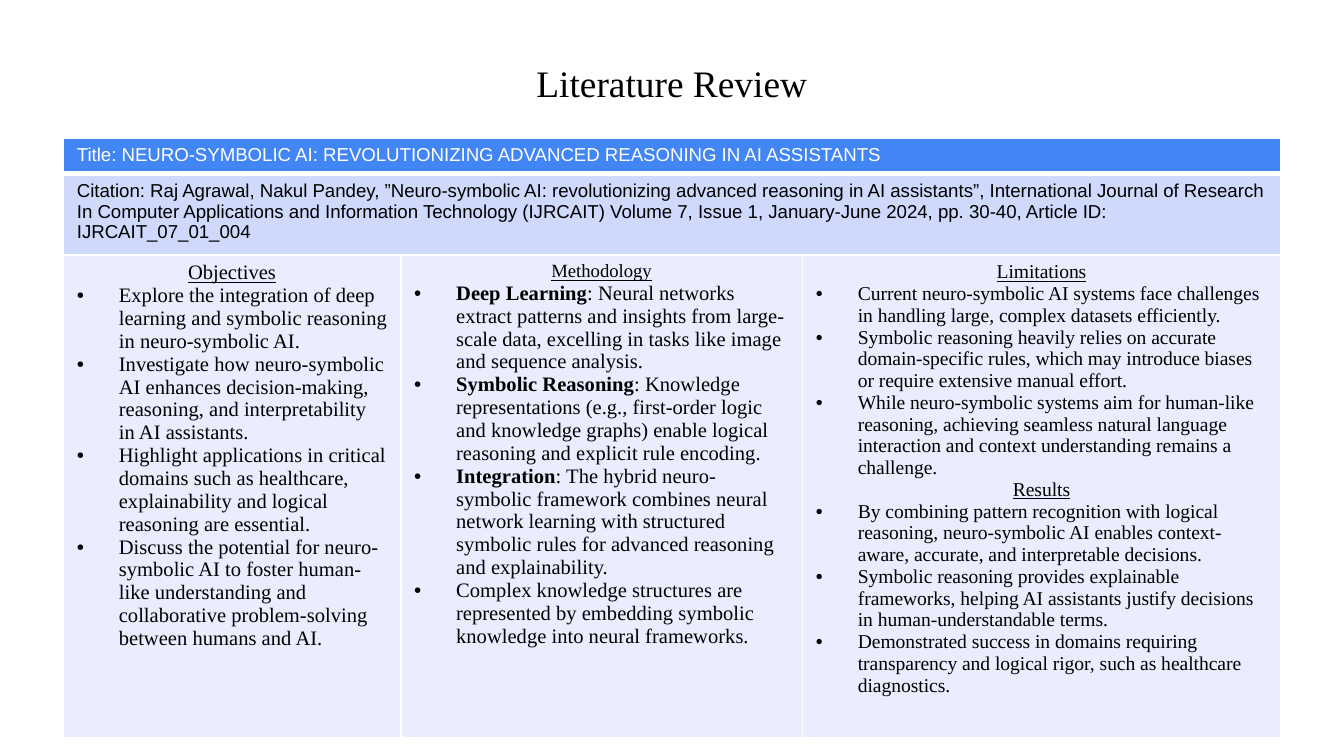
from dataclasses import dataclass

from lxml import etree
from pptx import Presentation
from pptx import util as u
from pptx.dml.color import RGBColor
from pptx.enum import text
from pptx.oxml import ns

Pt = u.Pt


@dataclass
class Theme:
    ink: str = "000000"
    white: str = "FFFFFF"
    head: str = "4285F4"
    cite: str = "CFD9FB"
    body: str = "E9EDFD"
    sans: str = "Arial"
    serif: str = "Times New Roman"
    title: float = 20
    small: float = 10
    mid: float = 10.5
    large: float = 11
    indent: float = 22.5


TITLE = "Title: NEURO-SYMBOLIC AI: REVOLUTIONIZING ADVANCED REASONING IN AI ASSISTANTS"
CITE = (
    "Citation: Raj Agrawal, Nakul Pandey, ”Neuro-symbolic AI: revolutionizing advanced "
    "reasoning in AI assistants”, International Journal of Research In Computer "
    "Applications and Information Technology (IJRCAIT) Volume 7, Issue 1, January-June "
    "2024, pp. 30-40, Article ID: IJRCAIT_07_01_004"
)
# Each bullet is a bold lead and the plain words after it.
GOALS = [
    ("", "Explore the integration of deep learning and symbolic reasoning in neuro-symbolic AI."),
    ("", "Investigate how neuro-symbolic AI enhances decision-making, reasoning, and "
         "interpretability in AI assistants."),
    ("", "Highlight applications in critical domains such as healthcare, explainability "
         "and logical reasoning are essential."),
    ("", "Discuss the potential for neuro-symbolic AI to foster human-like understanding "
         "and collaborative problem-solving between humans and AI."),
]
METHODS = [
    ("Deep Learning", ": Neural networks extract patterns and insights from large-scale "
                      "data, excelling in tasks like image and sequence analysis."),
    ("Symbolic Reasoning", ": Knowledge representations (e.g., first-order logic and "
                           "knowledge graphs) enable logical reasoning and explicit rule encoding."),
    ("Integration", ": The hybrid neuro-symbolic framework combines neural network learning "
                    "with structured symbolic rules for advanced reasoning and explainability."),
    ("", "Complex knowledge structures are represented by embedding symbolic knowledge "
         "into neural frameworks."),
]
LIMITS = [
    ("", "Current neuro-symbolic AI systems face challenges in handling large, complex "
         "datasets efficiently."),
    ("", "Symbolic reasoning heavily relies on accurate domain-specific rules, which may "
         "introduce biases or require extensive manual effort."),
    ("", "While neuro-symbolic systems aim for human-like reasoning, achieving seamless "
         "natural language interaction and context understanding remains a challenge."),
]
RESULTS = [
    ("", "By combining pattern recognition with logical reasoning, neuro-symbolic AI enables "
         "context-aware, accurate, and interpretable decisions."),
    ("", "Symbolic reasoning provides explainable frameworks, helping AI assistants justify "
         "decisions in human-understandable terms."),
    ("", "Demonstrated success in domains requiring transparency and logical rigor, such "
         "as healthcare diagnostics."),
]


class Deck:
    def __init__(self, theme, slide):
        self.theme, self.slide = theme, slide

    def run(self, para, words, size, face, color=None, **style):
        run = para.add_run()
        run.text = words
        font = {"size": Pt(size), "name": face, "bold": False, **style}
        for key, value in font.items():
            setattr(run.font, key, value)
        run.font.color.rgb = RGBColor.from_string(color or self.theme.ink)

    def title(self, words, box):
        frame = self.slide.shapes.add_textbox(*map(Pt, box)).text_frame
        frame.word_wrap = True
        para = frame.paragraphs[0]
        para.alignment = text.PP_ALIGN.CENTER
        self.run(para, words, self.theme.title, self.theme.serif)

    def table(self, left, top, cols, rows):
        size = map(Pt, (left, top, sum(cols), sum(rows)))
        grid = self.slide.shapes.add_table(len(rows), len(cols), *size).table
        for col, width in zip(grid.columns, cols):
            col.width = Pt(width)
        for row, height in zip(grid.rows, rows):
            row.height = Pt(height)
        return grid

    def cell(self, cell, fill, base=1):
        """Give a cell its white borders and its fill; base is the lower line's width."""
        props = cell._tc.get_or_add_tcPr()
        for side, width in (("L", 1), ("R", 1), ("T", 1), ("B", base)):
            line = etree.SubElement(props, ns.qn(f"a:ln{side}"), w=str(Pt(width)))
            solid = etree.SubElement(line, ns.qn("a:solidFill"))
            etree.SubElement(solid, ns.qn("a:srgbClr"), val=self.theme.white)
        cell.fill.solid()
        cell.fill.fore_color.rgb = RGBColor.from_string(fill)

    def band(self, grid, row, words, fill, color, base=1):
        """Fill a whole row with one merged cell."""
        last = len(grid.columns) - 1
        grid.cell(row, 0).merge(grid.cell(row, last))
        for col in range(last + 1):
            self.cell(grid.cell(row, col), fill, base)
        para = grid.cell(row, 0).text_frame.paragraphs[0]
        self.run(para, words, self.theme.small, self.theme.sans, color)

    def bullet(self, para):
        props = para._p.get_or_add_pPr()
        step = Pt(self.theme.indent)
        for key, value in {"marL": step, "indent": -step}.items():
            props.set(key, str(value))
        color = etree.SubElement(props, ns.qn("a:buClr"))
        etree.SubElement(color, ns.qn("a:srgbClr"), val=self.theme.ink)
        etree.SubElement(props, ns.qn("a:buFont"), typeface=self.theme.sans)
        etree.SubElement(props, ns.qn("a:buChar"), char="•")

    def lists(self, cell, parts, top, size):
        """Write headed bullet lists; top is the size of the headings."""
        frame, face = cell.text_frame, self.theme.serif
        for spot, (head, items) in enumerate(parts):
            para = frame.add_paragraph() if spot else frame.paragraphs[0]
            para.alignment = text.PP_ALIGN.CENTER
            self.run(para, head, top, face, underline=True)
            for lead, rest in items:
                para = frame.add_paragraph()
                self.bullet(para)
                if lead:
                    self.run(para, lead, size, face, bold=True)
                self.run(para, rest, size, face)


def main():
    show = Presentation()
    show.slide_width, show.slide_height = Pt(720), Pt(405)
    look = Theme()
    deck = Deck(look, show.slides.add_slide(show.slide_layouts[6]))

    deck.title("Literature Review", (180, 28.8, 360, 31.7))
    grid = deck.table(34, 73.8, (180.7, 215.2, 256.3), (19, 43.4, 258.8))
    deck.band(grid, 0, TITLE, look.head, look.white, base=3)
    deck.band(grid, 1, CITE, look.cite, look.ink)
    columns = [
        ([("Objectives", GOALS)], look.large, look.large),
        ([("Methodology", METHODS)], look.small, look.large),
        ([("Limitations", LIMITS), ("Results", RESULTS)], look.mid, look.mid),
    ]
    for col, (parts, top, size) in enumerate(columns):
        cell = grid.cell(2, col)
        deck.cell(cell, look.body)
        deck.lists(cell, parts, top, size)
    show.save("out.pptx")


if __name__ == "__main__":
    main()
